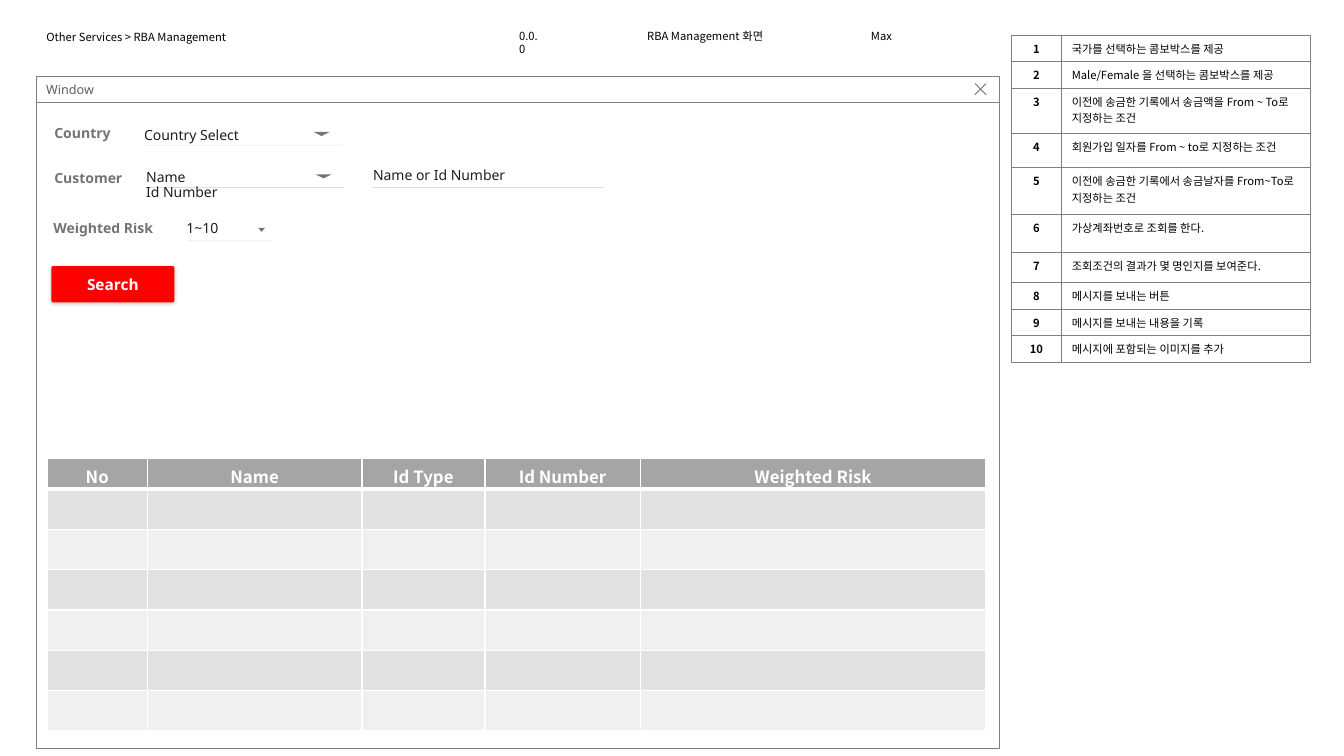
import pptx
import pptx.dml.color
import pptx.enum.shapes
import pptx.enum.text
import pptx.oxml
import pptx.oxml.ns
import pptx.util
from lxml import etree

Inches = pptx.util.Inches
Pt = pptx.util.Pt
qn = pptx.oxml.ns.qn
SHAPE = pptx.enum.shapes.MSO_SHAPE
ALIGN = pptx.enum.text.PP_ALIGN
ANCHOR = pptx.enum.text.MSO_ANCHOR
AUTO = pptx.enum.text.MSO_AUTO_SIZE

COLORS = {"black": "000000", "white": "FFFFFF", "border": "808080", "caption": "5F5F5F",
          "header": "A5A5A5", "dark_row": "E1E1E1", "light_row": "F0F0F0", "button": "FF0000"}
SANS, CJK = "Noto Sans", "Noto Sans CJK KR"
NOTE = dict(name=CJK, size=8)
LABEL = dict(name=SANS, size=10, bold=True, alpha=54)
FIELD = dict(name=SANS, size=10, alpha=87)


class Wireframe:
    def __init__(self, prs):
        self.slide = prs.slides.add_slide(prs.slide_layouts[5])
        self.shapes = self.slide.shapes

    def group(self):
        self.shapes = self.slide.shapes.add_group_shape().shapes

    def ungroup(self):
        self.shapes = self.slide.shapes

    def rgb(self, name):
        return pptx.dml.color.RGBColor.from_string(COLORS[name])

    def alpha(self, element, percent):
        for clr in element.iter(qn("a:srgbClr")):
            etree.SubElement(clr, qn("a:alpha"), val=str(percent * 1000))

    def fill_text(self, tf, text, name, size, bold=False, color="black", alpha=None,
                  align=ALIGN.LEFT, spacing=1.0):
        for i, line in enumerate(text.split("\n")):
            p = tf.add_paragraph() if i else tf.paragraphs[0]
            p.alignment, p.line_spacing = align, spacing
            r = p.add_run()
            r.text = line
            for key, value in dict(name=name, size=Pt(size), bold=bold).items():
                setattr(r.font, key, value)
            r.font.color.rgb = self.rgb(color)
            rPr = r._r.get_or_add_rPr()
            etree.SubElement(rPr, qn("a:ea"), typeface=name)
            if alpha:
                self.alpha(rPr, alpha)

    def frame(self, sp, text, insets=(0.1, 0.05, 0.1, 0.05), anchor=ANCHOR.TOP,
              wrap=True, auto=AUTO.NONE, **style):
        tf = sp.text_frame
        left, top, right, bottom = map(Inches, insets)
        values = dict(margin_left=left, margin_top=top, margin_right=right, margin_bottom=bottom,
                      vertical_anchor=anchor, word_wrap=wrap, auto_size=auto)
        for key, value in values.items():
            setattr(tf, key, value)
        self.fill_text(tf, text, **style)

    def title(self, text, *box):
        sp = self.slide.shapes.title
        for key, value in zip(("left", "top", "width", "height"), box):
            setattr(sp, key, Inches(value))
        self.frame(sp, text, **NOTE)

    def text(self, text, *box, **style):
        sp = self.shapes.add_textbox(*map(Inches, box))
        self.frame(sp, text, auto=AUTO.SHAPE_TO_FIT_TEXT, **style)

    def paint(self, sp, fill=None, line=None, width=0.5):
        sp.shadow.inherit = False
        if fill:
            sp.fill.solid()
            sp.fill.fore_color.rgb = self.rgb(fill)
        else:
            sp.fill.background()
        if line:
            sp.line.color.rgb = self.rgb(line)
            sp.line.width = Pt(width)
        else:
            sp.line.fill.background()

    def shape(self, kind, *box, fill=None, line=None):
        sp = self.shapes.add_shape(kind, *map(Inches, box))
        self.paint(sp, fill, line)
        return sp

    def outline(self, contours, closed=False, **look):
        strokes = [[(Inches(x), Inches(y)) for x, y in contour] for contour in contours]
        builder = self.shapes.build_freeform(*strokes[0][0], scale=1.0)
        for i, points in enumerate(strokes):
            if i:
                builder.move_to(*points[0])
            builder.add_line_segments(points[1:], close=closed)
        sp = builder.convert_to_shape()
        self.paint(sp, **look)
        return sp

    def underline(self, left, right, y):
        cx = self.shapes.add_connector(pptx.enum.shapes.MSO_CONNECTOR.STRAIGHT,
                                       *map(Inches, (left, y, right, y)))
        cx.line.color.rgb = self.rgb("black")
        cx.line.width = Pt(0.5)
        self.alpha(cx._element, 12)
        etree.SubElement(cx._element.spPr, qn("a:effectLst"))

    def field(self, text, left, width, line_y, rise, height=0.28, arrow=None):
        self.group()
        self.underline(left, left + width, line_y)
        self.text(text, left, line_y - rise, width, height,
                  insets=(0, 0.06, 0, 0.06), spacing=0.9, **FIELD)
        if arrow:
            back, span = arrow
            x, y = left + width - back, line_y - 0.13
            sp = self.outline([[(x, y), (x + span / 2, y + 0.04), (x + span, y)]],
                              closed=True, fill="black")
            self.alpha(sp._element, 54)
        self.ungroup()

    def button(self, text, *box):
        sp = self.shape(SHAPE.ROUNDED_RECTANGLE, *box, fill="button")
        sp.adjustments[0] = 0.05
        effects = sp._element.spPr.find(qn("a:effectLst"))
        shadow = etree.SubElement(effects, qn("a:outerShdw"), blurRad=str(Pt(3)),
                                  dist=str(Pt(1)), dir="5400000", rotWithShape="0")
        etree.SubElement(shadow, qn("a:srgbClr"), val=COLORS["black"])
        self.alpha(shadow, 25)
        self.frame(sp, text, insets=(0.08, 0.05, 0.08, 0.05), anchor=ANCHOR.MIDDLE,
                   align=ALIGN.CENTER, name=SANS, size=11, bold=True, color="white")

    def table(self, left, top, cols, rows):
        box = map(Inches, (left, top, sum(cols), sum(rows)))
        table = self.slide.shapes.add_table(len(rows), len(cols), *box).table
        table.first_row = table.horz_banding = False
        for col, width in zip(table.columns, cols):
            col.width = Inches(width)
        for row, height in zip(table.rows, rows):
            row.height = Inches(height)
        return table

    def cell(self, cell, border, width, bottom=None, fill=None):
        tcPr = cell._tc.get_or_add_tcPr()
        for side in "LRTB":
            weight = bottom if bottom and side == "B" else width
            ln = etree.SubElement(tcPr, qn("a:ln" + side), w=str(Pt(weight)))
            solid = etree.SubElement(ln, qn("a:solidFill"))
            etree.SubElement(solid, qn("a:srgbClr"), val=COLORS[border])
        if fill:
            cell.fill.solid()
            cell.fill.fore_color.rgb = self.rgb(fill)
        else:
            cell.fill.background()


prs = pptx.Presentation()
prs.slide_width, prs.slide_height = Inches(13.33), Inches(7.5)
s = Wireframe(prs)

notes = [("국가를 선택하는 콤보박스를 제공", 0.23),
         ("Male/Female 을 선택하는 콤보박스를 제공", 0.26),
         ("이전에 송금한 기록에서 송금액을 From ~ To로 지정하는 조건", 0.45),
         ("회원가입 일자를 From ~ to로 지정하는 조건", 0.34),
         ("이전에 송금한 기록에서 송금날자를 From~To로 지정하는 조건", 0.46),
         ("가상계좌번호로 조회를 한다.", 0.38),
         ("조회조건의 결과가 몇 명인지를 보여준다.", 0.3),
         ("메시지를 보내는 버튼", 0.23),
         ("메시지를 보내는 내용을 기록", 0.23),
         ("메시지에 포함되는 이미지를 추가", 0.23)]
table = s.table(10.03, 0.35, [0.5, 2.47], [height for _, height in notes])
for i, (note, _) in enumerate(notes):
    number, description = table.rows[i].cells
    for cell in (number, description):
        s.cell(cell, "border", 0.5)
    s.fill_text(number.text_frame, str(i + 1), bold=True, align=ALIGN.CENTER, **NOTE)
    s.fill_text(description.text_frame, note, **NOTE)

s.title("Other Services > RBA Management", 0.36, 0.25, 4.7, 0.24)
s.text("0.0.0", 5.05, 0.24, 0.44, 0.24, **NOTE)
s.text("RBA Management 화면", 6.32, 0.24, 1.39, 0.24, wrap=False, **NOTE)
s.text("Max", 8.54, 0.24, 0.42, 0.24, wrap=False, **NOTE)

s.group()
s.shape(SHAPE.RECTANGLE, 0.36, 1.02, 9.55, 6.4, fill="white", line="border")
bar = s.shape(SHAPE.RECTANGLE, 0.36, 0.76, 9.55, 0.26, fill="white", line="border")
s.frame(bar, "Window", insets=(0.1, 0.05, 0.25, 0.05), anchor=ANCHOR.MIDDLE,
        name=SANS, size=9, color="caption")
s.outline([[(9.78, 0.83), (9.67, 0.94)], [(9.67, 0.83), (9.78, 0.94)]],
          line="border", width=0.75)
s.ungroup()

headers = ["No", "Name", "Id Type", "Id Number", "Weighted Risk"]
table = s.table(0.47, 4.55, [0.99, 2.13, 1.22, 1.54, 3.43], [0.29] + [0.4] * 6)
for cell, header in zip(table.rows[0].cells, headers):
    s.cell(cell, "white", 1, bottom=3, fill="header")
    s.fill_text(cell.text_frame, header, name=CJK, size=12, bold=True, color="white",
                align=ALIGN.CENTER)
for i in range(1, 7):
    for cell in table.rows[i].cells:
        s.cell(cell, "white", 1, fill="dark_row" if i % 2 else "light_row")

for label, left, top, width in [("Country", 0.46, 1.21, 0.96), ("Customer", 0.46, 1.66, 0.96),
                                ("Weighted Risk", 0.45, 2.16, 1.28)]:
    s.text(label, left, top, width, 0.25, insets=(0.08, 0.04, 0.08, 0.04), spacing=0.9, **LABEL)
s.field("Country Select", 1.43, 1.96, 1.44, 0.23, arrow=(0.28, 0.16))
s.field("Name\nId Number", 1.45, 1.96, 1.86, 0.23, height=0.45, arrow=(0.28, 0.16))
s.field("Name or Id Number", 3.7, 2.28, 1.86, 0.25)
s.field("1~10", 1.85, 0.84, 2.39, 0.25, arrow=(0.13, 0.07))
s.button("Search", 0.51, 2.64, 1.22, 0.36)

prs.save("out.pptx")
